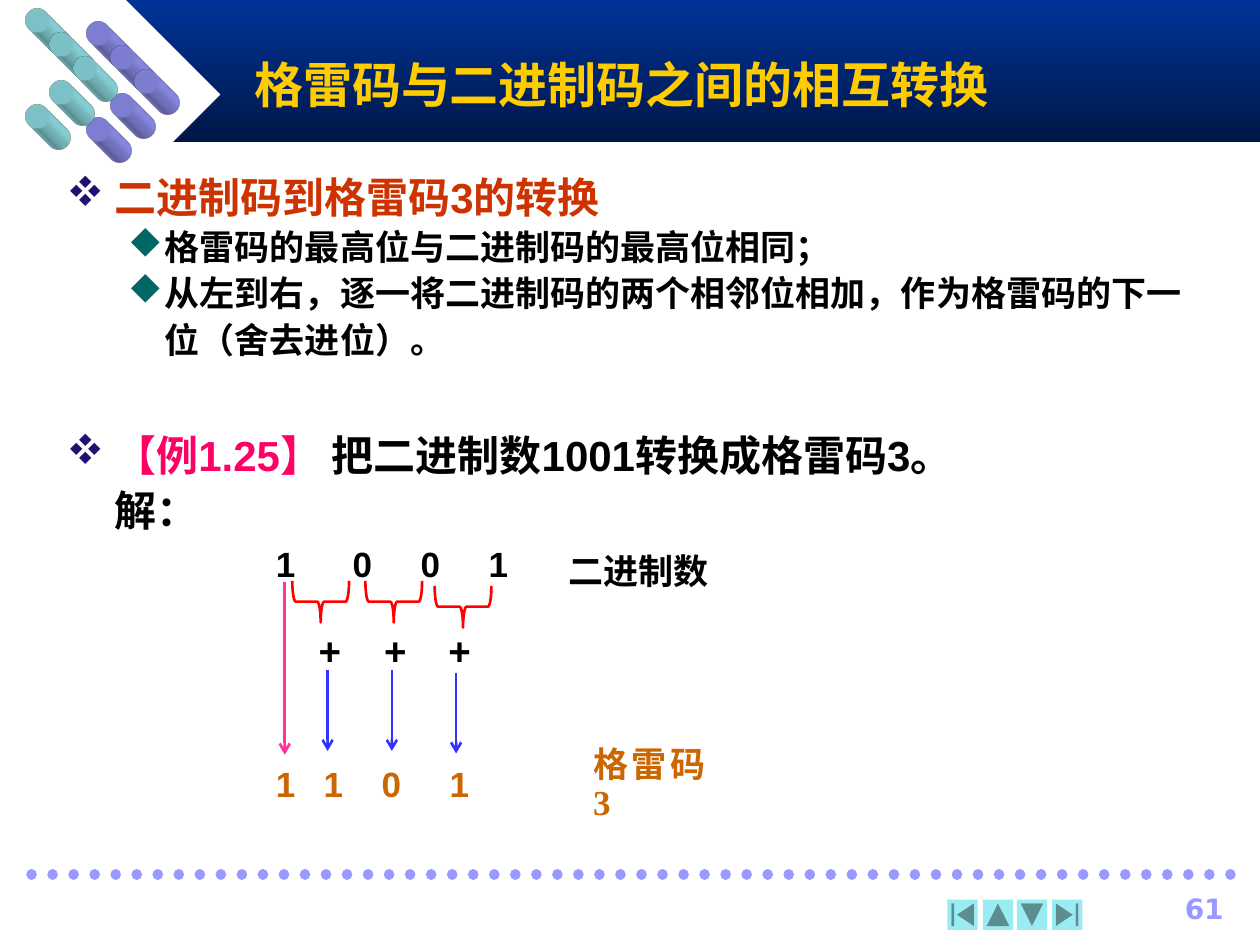
from lxml import etree
from pptx import Presentation
from pptx import util as u
from pptx.dml.color import RGBColor
from pptx.enum import dml, shapes, text
from pptx.oxml import parse_xml
from pptx.oxml.ns import qn

COLORS = {
    "navy": "003399", "night": "001746", "white": "FFFFFF", "lilac": "9999FF",
    "aqua": "98ECF2", "gold": "FFCC00", "black": "000000", "rust": "CC3300",
    "rose": "FF0066", "orange": "CC6600", "pink": "FF3399", "red": "FF0000",
    "blue": "3333FF", "indigo": "1E116F", "teal": "006666",
}
DRAWING = 'xmlns:a="http://schemas.openxmlformats.org/drawingml/2006/main"'
Kind = shapes.MSO_SHAPE
# Letters that the Wingdings font shows as bullet symbols
FOUR_DIAMONDS, DIAMOND = "v", "u"


def color(name):
    return RGBColor.from_string(COLORS[name])


def add_shape(page, kind, left, top, width, height, fill=None):
    shape = page.shapes.add_shape(kind, *map(u.Inches, (left, top, width, height)))
    shape.shadow.inherit = False
    shape.line.fill.background()
    if fill:
        shape.fill.solid()
        shape.fill.fore_color.rgb = color(fill)
    else:
        shape.fill.background()
    return shape


def add_rod(page, left, top, fill):
    """A disc extruded to the lower right."""
    disc = add_shape(page, Kind.OVAL, left, top, 0.19, 0.19, fill)
    properties = disc._element.spPr
    properties.append(parse_xml(
        f'<a:scene3d {DRAWING}><a:camera prst="legacyObliqueBottomRight"/>'
        '<a:lightRig rig="legacyFlat3" dir="t"/></a:scene3d>'))
    properties.append(parse_xml(
        f'<a:sp3d {DRAWING} extrusionH="430200" prstMaterial="legacyMatte">'
        f'<a:extrusionClr><a:srgbClr val="{COLORS[fill]}"/></a:extrusionClr></a:sp3d>'))


def add_line(page, start, end, name, width, arrow=False):
    line = page.shapes.add_connector(
        shapes.MSO_CONNECTOR.STRAIGHT, *map(u.Inches, start + end))
    line.line.color.rgb = color(name)
    line.line.width = u.Pt(width)
    if arrow:
        outline = line.line._get_or_add_ln()
        etree.SubElement(outline, qn("a:tailEnd"), type="arrow")
    etree.SubElement(line._element.spPr, qn("a:effectLst"))
    return line


def add_box(page, left, top, width, height, wrap=True):
    box = page.shapes.add_textbox(*map(u.Inches, (left, top, width, height)))
    box.text_frame.word_wrap = wrap
    return box


def add_para(box, spans, size, font="Arial", spacing=None, before=0, align=None):
    """Write (words, colour) or (words, colour, font) spans in a new paragraph."""
    frame = box.text_frame
    para = frame.paragraphs[0]
    if para.runs:
        para = frame.add_paragraph()
    para.font.size, para.font.bold, para.font.name = u.Pt(size), True, font
    if spacing:
        para.line_spacing = spacing
    if before:
        para.space_before = u.Pt(before)
    if align:
        para.alignment = align
    for words, name, *face in spans:
        span = para.add_run()
        span.text = words
        span.font.color.rgb = color(name)
        if face:
            span.font.name = face[0]
    return para


def insert_first(para, *elements):
    """Place bullet or tab elements ahead of the paragraph's font settings."""
    properties = para._p.get_or_add_pPr()
    font = properties.find(qn("a:defRPr"))
    for element in elements:
        font.addprevious(element)


def set_indent(para, margin, hanging=0):
    properties = para._p.get_or_add_pPr()
    properties.set("marL", str(u.Inches(margin)))
    properties.set("indent", str(-u.Inches(hanging)))


def set_bullet(para, mark, name, margin, hanging):
    set_indent(para, margin, hanging)
    insert_first(
        para,
        parse_xml(f'<a:buClr {DRAWING}><a:srgbClr val="{COLORS[name]}"/></a:buClr>'),
        parse_xml(f'<a:buFont {DRAWING} typeface="Wingdings" pitchFamily="2" charset="2"/>'),
        parse_xml(f'<a:buChar {DRAWING} char="{mark}"/>'))


def set_tabs(para, stops):
    marks = "".join(f'<a:tab pos="{u.Inches(stop)}" algn="l"/>' for stop in stops)
    insert_first(para, parse_xml(f"<a:tabLst {DRAWING}>{marks}</a:tabLst>"))


def draw_header(page):
    band = add_shape(page, Kind.RECTANGLE, 1, 0, 9, 1.13)
    band.fill.gradient()
    band.fill.gradient_angle = 270
    for stop, name in zip(band.fill.gradient_stops, ("navy", "night")):
        stop.color.rgb = color(name)
    add_shape(page, Kind.DIAMOND, 0.25, 0, 1.5, 1.5, "white")

    # Two chevrons of rods
    step = 0.19
    for left, top, fill in ((0.69, 0.17, "lilac"), (0.2, 0.07, "aqua")):
        for row, column in enumerate((0, 1, 2, 1, 0)):
            add_rod(page, left + column * step, top + row * step, fill)

    title = add_box(page, 1.92, 0.33, 7.5, 0.67)
    title.text_frame.vertical_anchor = text.MSO_ANCHOR.MIDDLE
    add_para(title, [("格雷码与二进制码之间的相互转换", "gold")], 28)


def draw_footer(page):
    dots = add_line(page, (0.25, 6.94), (9.83, 6.94), "lilac", 6)
    dots.line.dash_style = dml.MSO_LINE.ROUND_DOT
    dots.line._get_or_add_ln().set("cap", "rnd")
    buttons = (
        (7.52, Kind.ACTION_BUTTON_BEGINNING, 0),
        (7.8, Kind.ACTION_BUTTON_BACK_OR_PREVIOUS, 90),
        (8.07, Kind.ACTION_BUTTON_FORWARD_OR_NEXT, 90),
        (8.35, Kind.ACTION_BUTTON_END, 0),
    )
    for left, kind, turn in buttons:
        add_shape(page, kind, left, 7.14, 0.24, 0.24, "aqua").rotation = turn
    number = add_box(page, 8.86, 7.03, 0.95, 0.33)
    add_para(number, [("61", "lilac")], 16, "DejaVu Sans", align=text.PP_ALIGN.RIGHT)


def draw_rules(page):
    box = add_box(page, 0.43, 1.27, 9.17, 1.66)
    heading = add_para(box, [("二进制码到格雷码", "rust", "Times New Roman"),
                             ("3的", "rust"),
                             ("转换", "rust", "Times New Roman")], 24, spacing=1.1)
    set_bullet(heading, FOUR_DIAMONDS, "indigo", 0.38, 0.38)
    for rule in ("格雷码的最高位与二进制码的最高位相同；",
                 "从左到右，逐一将二进制码的两个相邻位相加，作为格雷码的下一位（舍去进位）。"):
        para = add_para(box, [(rule, "black")], 20, "Times New Roman", spacing=1.1)
        para.level = 1
        set_bullet(para, DIAMOND, "teal", 0.78, 0.29)


def draw_example(page):
    box = add_box(page, 0.43, 3.32, 9.27, 0.94)
    task = add_para(box, [("【例1.25】", "rose"), (" 把二进制数1001转换成", "black"),
                          ("格雷码", "black", "Times New Roman"),
                          ("3。", "black")], 24, spacing=1.1)
    set_bullet(task, FOUR_DIAMONDS, "indigo", 0.38, 0.38)
    set_indent(add_para(box, [("解：", "black")], 24, spacing=1.1), 0.38)


def draw_conversion(page):
    # Binary digits, sums and Gray digits
    digits = add_box(page, 2.09, 4.26, 2.18, 2.19)
    rows = (
        ("1\t0\t0\t1", "black", 20, 0, (0.61, 1.15, 1.69)),
        ("\t+\t+\t+", "black", 22, 24, (0.34, 0.86, 1.37)),
        ("1\t1\t0\t1", "orange", 20, 51, (0.38, 0.84, 1.38)),
    )
    for words, name, size, before, stops in rows:
        set_tabs(add_para(digits, [(words, name)], size, before=before), stops)

    # First bit is carried down; neighbours are added
    add_line(page, (2.26, 4.62), (2.26, 5.99), "pink", 1.5, arrow=True)
    for brace_left, brace_top, arrow_x, arrow_top in (
            (2.38, 4.55, 2.6, 5.32), (2.96, 4.55, 3.11, 5.32), (3.51, 4.59, 3.62, 5.34)):
        brace = add_shape(page, Kind.LEFT_BRACE, brace_left, brace_top, 0.33, 0.45)
        brace.rotation = 270
        brace.line.color.rgb = color("red")
        brace.line.width = u.Pt(1.5)
        add_line(page, (arrow_x, arrow_top), (arrow_x, arrow_top + 0.64),
                 "blue", 1.5, arrow=True)

    # Row names
    binary = add_box(page, 4.41, 4.35, 1.32, 0.4, wrap=False)
    gray = add_box(page, 4.61, 5.88, 1.19, 0.4)
    gray.text_frame.margin_right = u.Inches(0.2)
    for box, words, name, font in ((binary, "二进制数", "black", "Arial"),
                                   (gray, "格雷码3", "orange", "Times New Roman")):
        add_para(box, [(words, name)], 20, font, 0.9, align=text.PP_ALIGN.JUSTIFY)


def main():
    deck = Presentation()
    deck.slide_width, deck.slide_height = u.Inches(10), u.Inches(7.5)
    page = deck.slides.add_slide(deck.slide_layouts[6])
    draw_header(page)
    draw_footer(page)
    draw_rules(page)
    draw_example(page)
    draw_conversion(page)
    deck.save("out.pptx")


if __name__ == "__main__":
    main()
